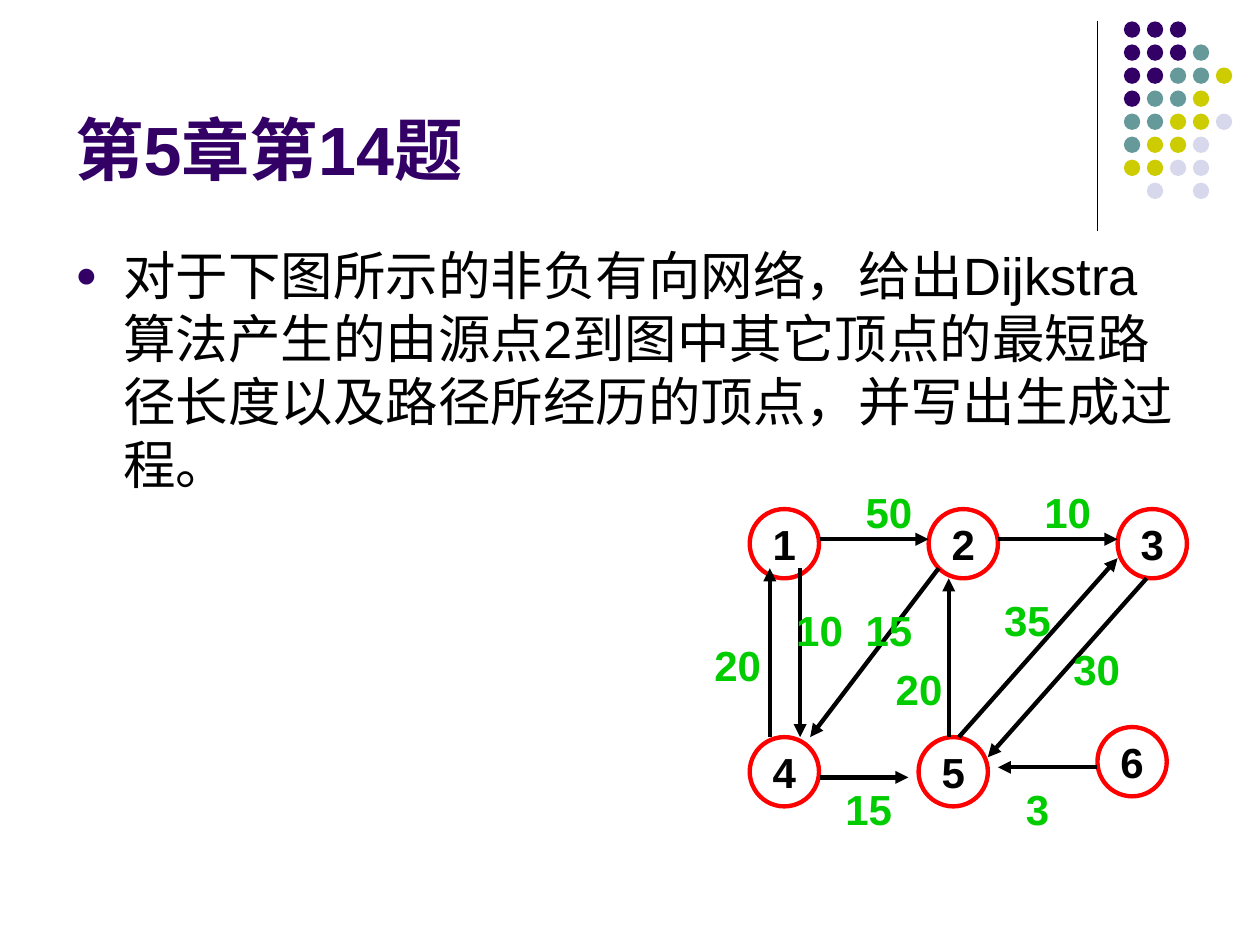
from typing import NamedTuple

from lxml import etree
from pptx import Presentation
from pptx.dml.color import RGBColor
from pptx.enum.shapes import MSO_CONNECTOR, MSO_SHAPE
from pptx.enum.text import MSO_ANCHOR, PP_ALIGN
from pptx.oxml.ns import qn
from pptx.util import Inches, Pt

STRAIGHT = MSO_CONNECTOR.STRAIGHT
OVAL = MSO_SHAPE.OVAL
TOP, MIDDLE, BOTTOM = MSO_ANCHOR.TOP, MSO_ANCHOR.MIDDLE, MSO_ANCHOR.BOTTOM
CENTER = PP_ALIGN.CENTER

FONT = "Arial"
BLACK, PURPLE, RED, GREEN = "000000", "330066", "FF0000", "00CC00"

DOT_COLORS = {"P": PURPLE, "T": "669999", "Y": "CCCC00", "L": "D8D8EC"}
DOT_ROWS = ["PPP", "PPPT", "PPTTY", "PTTY", "TTYYL", "TYYL", "YYLL", " L L"]
DOT_LEFT, DOT_TOP, DOT_SIZE = 8.92, 0.17, 0.13
DOT_STEP_X, DOT_STEP_Y = 0.73 / 4, 1.28 / 7

NODE_SIZE = 0.55
LABEL_WIDTH, LABEL_HEIGHT = 0.63, 0.5


class Node(NamedTuple):
    name: str
    left: float
    top: float


class Edge(NamedTuple):
    start: tuple[float, float]
    end: tuple[float, float]
    weight: str
    label_left: float
    label_top: float


NODES = [
    Node("1", 5.95, 4.04),
    Node("2", 7.37, 4.04),
    Node("3", 8.87, 4.04),
    Node("4", 5.95, 5.85),
    Node("5", 7.29, 5.85),
    Node("6", 8.71, 5.77),
]
EDGES = [
    Edge((6.35, 4.51), (6.35, 5.85), "10", 6.19, 4.75),
    Edge((6.11, 5.85), (6.11, 4.51), "20", 5.54, 5.03),
    Edge((6.51, 4.28), (7.37, 4.28), "50", 6.74, 3.81),
    Edge((7.92, 4.28), (8.87, 4.28), "10", 8.16, 3.81),
    Edge((7.45, 4.51), (6.43, 5.85), "15", 6.74, 4.75),
    Edge((7.53, 5.85), (7.53, 4.59), "20", 6.98, 5.22),
    Edge((6.51, 6.17), (7.21, 6.17), "15", 6.58, 6.17),
    Edge((8.71, 6.09), (7.92, 6.09), "3", 7.92, 6.17),
    Edge((7.61, 5.85), (8.87, 4.43), "35", 7.84, 4.67),
    Edge((9.1, 4.59), (7.84, 6.01), "30", 8.39, 5.06),
]


def color(value: str) -> RGBColor:
    return RGBColor.from_string(value)


def write(paragraph, text: str, size: float, text_color: str, bold: bool = False) -> None:
    run = paragraph.add_run()
    run.text = text
    run.font.name = FONT
    run.font.size = Pt(size)
    run.font.bold = bold
    run.font.color.rgb = color(text_color)


def add_text_box(slide, left: float, top: float, width: float, height: float, anchor=TOP):
    """Add a wrapping text box and return its first paragraph."""
    frame = slide.shapes.add_textbox(
        Inches(left), Inches(top), Inches(width), Inches(height)).text_frame
    frame.word_wrap = True
    frame.vertical_anchor = anchor
    return frame.paragraphs[0]


def add_circle(slide, left: float, top: float, size: float):
    shape = slide.shapes.add_shape(
        OVAL, Inches(left), Inches(top), Inches(size), Inches(size))
    shape.shadow.inherit = False
    return shape


def add_line(slide, start: tuple[float, float], end: tuple[float, float],
             width: float, arrow: bool = False) -> None:
    line = slide.shapes.add_connector(
        STRAIGHT, Inches(start[0]), Inches(start[1]), Inches(end[0]), Inches(end[1]))
    line.line.color.rgb = color(BLACK)
    line.line.width = Pt(width)
    if arrow:
        etree.SubElement(line.line._get_or_add_ln(), qn("a:tailEnd"), type="triangle")
    etree.SubElement(line._element.spPr, qn("a:effectLst"))


def add_bullet(paragraph, indent: float) -> None:
    properties = paragraph._p.get_or_add_pPr()
    properties.set("marL", str(Inches(indent)))
    properties.set("indent", str(-Inches(indent)))
    bullet_color = etree.SubElement(properties, qn("a:buClr"))
    etree.SubElement(bullet_color, qn("a:srgbClr"), val=PURPLE)
    etree.SubElement(properties, qn("a:buSzPct"), val="70000")
    etree.SubElement(properties, qn("a:buFont"), typeface=FONT)
    etree.SubElement(properties, qn("a:buChar"), char="●")


def add_dot_pattern(slide) -> None:
    for row, codes in enumerate(DOT_ROWS):
        for column, code in enumerate(codes):
            if code == " ":
                continue
            dot = add_circle(slide, DOT_LEFT + column * DOT_STEP_X,
                             DOT_TOP + row * DOT_STEP_Y, DOT_SIZE)
            dot.fill.solid()
            dot.fill.fore_color.rgb = color(DOT_COLORS[code])
            dot.line.fill.background()


def add_node(slide, node: Node) -> None:
    circle = add_circle(slide, node.left, node.top, NODE_SIZE)
    circle.fill.background()
    circle.line.color.rgb = color(RED)
    circle.line.width = Pt(2.5)
    frame = circle.text_frame
    frame.margin_left = frame.margin_right = 0
    frame.margin_top = frame.margin_bottom = 0
    frame.word_wrap = False
    frame.vertical_anchor = MIDDLE
    paragraph = frame.paragraphs[0]
    paragraph.alignment = CENTER
    write(paragraph, node.name, 24, BLACK, bold=True)


def add_weight(slide, edge: Edge) -> None:
    paragraph = add_text_box(
        slide, edge.label_left, edge.label_top, LABEL_WIDTH, LABEL_HEIGHT)
    paragraph.alignment = CENTER
    write(paragraph, edge.weight, 24, GREEN, bold=True)


def main() -> None:
    presentation = Presentation()
    presentation.slide_width = Inches(10)
    presentation.slide_height = Inches(7.5)
    slide = presentation.slides.add_slide(presentation.slide_layouts[6])

    add_line(slide, (8.71, 0.17), (8.71, 1.83), 0.75)
    add_dot_pattern(slide)

    title = add_text_box(slide, 0.5, 0.13, 8.25, 1.42, BOTTOM)
    write(title, "第5章第14题", 39, PURPLE, bold=True)

    question = add_text_box(slide, 0.5, 1.88, 9, 4.82)
    add_bullet(question, 0.38)
    write(question, "对于下图所示的非负有向网络，给出Dijkstra算法产生的由源点2到图中其它顶点的"
                    "最短路径长度以及路径所经历的顶点，并写出生成过程。", 30, BLACK)

    for node in NODES:
        add_node(slide, node)
    for edge in EDGES:
        add_line(slide, edge.start, edge.end, 2.5, arrow=True)
    for edge in EDGES:
        add_weight(slide, edge)

    presentation.save("out.pptx")


if __name__ == "__main__":
    main()
